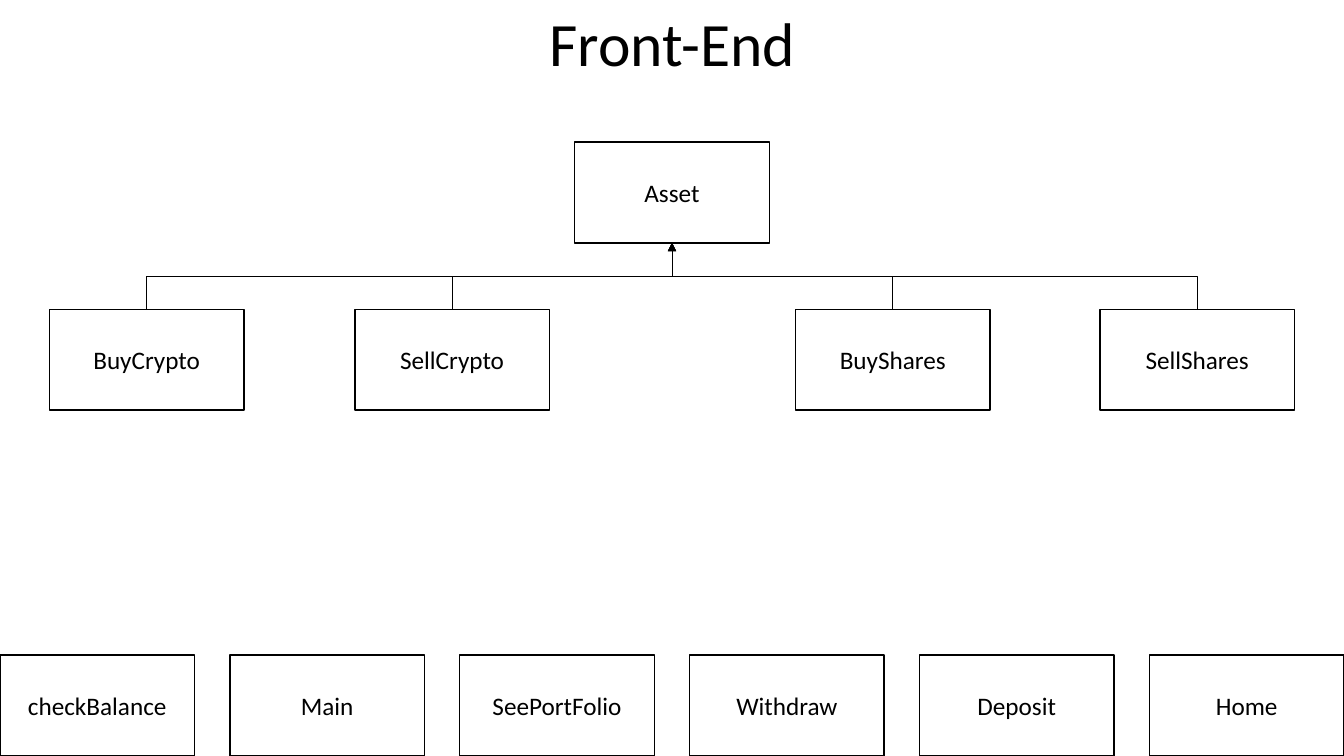
from pptx import Presentation
from pptx.util import Inches, Pt
from pptx.dml.color import RGBColor
from pptx.enum.shapes import MSO_SHAPE, MSO_CONNECTOR
from pptx.enum.text import PP_ALIGN, MSO_ANCHOR, MSO_AUTO_SIZE
from pptx.oxml.ns import qn
from lxml.etree import SubElement

# Content
title = "Front-End"
parent = "Asset"
kids = [("BuyCrypto", 0.49), ("SellCrypto", 3.52),
        ("BuyShares", 7.89), ("SellShares", 10.91)]
pages = ["checkBalance", "Main", "SeePortFolio", "Withdraw", "Deposit", "Home"]

theme = {"font": "Calibri", "ink": RGBColor(0, 0, 0),
         "paper": RGBColor(255, 255, 255), "title": Pt(44), "label": Pt(18),
         "edge": Pt(1), "link": Pt(0.5)}

# Layout in inches
wide, high = 13.33, 7.5
box_w, box_h = 1.93, 1
mid = wide / 2
top_y, kid_y = 1.41, 3.07
page_y = high - box_h
step = (wide - box_w) / (len(pages) - 1)

deck = Presentation()
deck.slide_width, deck.slide_height = Inches(wide), Inches(high)
slide = deck.slides.add_slide(deck.slide_layouts[6])


def write(frame, text, size):
    para = frame.paragraphs[0]
    para.alignment = PP_ALIGN.CENTER
    run = para.add_run()
    run.text = text
    run.font.name = theme["font"]
    run.font.size = size
    run.font.color.rgb = theme["ink"]


def add_box(text, x, y):
    box = slide.shapes.add_shape(MSO_SHAPE.RECTANGLE, Inches(x), Inches(y),
                                 Inches(box_w), Inches(box_h))
    box.shadow.inherit = False
    box.fill.solid()
    box.fill.fore_color.rgb = theme["paper"]
    box.line.color.rgb = theme["ink"]
    box.line.width = theme["edge"]
    box.text_frame.vertical_anchor = MSO_ANCHOR.MIDDLE
    write(box.text_frame, text, theme["label"])


def add_link(x):
    """Elbow arrow from the top of a child up to the parent."""
    end_y = top_y + box_h
    run, rise = abs(mid - x), kid_y - end_y
    cx, cy = (x + mid) / 2, (kid_y + end_y) / 2
    # The elbow is laid out sideways, then turned to leave vertically
    side = 1 if x < mid else -1
    link = slide.shapes.add_connector(
        MSO_CONNECTOR.ELBOW,
        Inches(cx + side * rise / 2), Inches(cy + run / 2),
        Inches(cx - side * rise / 2), Inches(cy - run / 2))
    link.line.color.rgb = theme["ink"]
    link.line.width = theme["link"]
    props = link._element.spPr
    props.find(qn("a:xfrm")).set("rot", str((90 if side > 0 else 270) * 60000))
    SubElement(props.find(qn("a:ln")), qn("a:tailEnd"), type="triangle")
    SubElement(props, qn("a:effectLst"))


# Title
head = slide.shapes.add_textbox(Inches(3.04), 0, Inches(7.26), Inches(0.84))
head.text_frame.word_wrap = True
head.text_frame.auto_size = MSO_AUTO_SIZE.SHAPE_TO_FIT_TEXT
write(head.text_frame, title, theme["title"])

# Class tree
add_box(parent, mid - box_w / 2, top_y)
for name, x in kids:
    add_box(name, x, kid_y)
    add_link(x + box_w / 2)

# Row of pages
for i, name in enumerate(pages):
    add_box(name, i * step, page_y)

deck.save("out.pptx")
